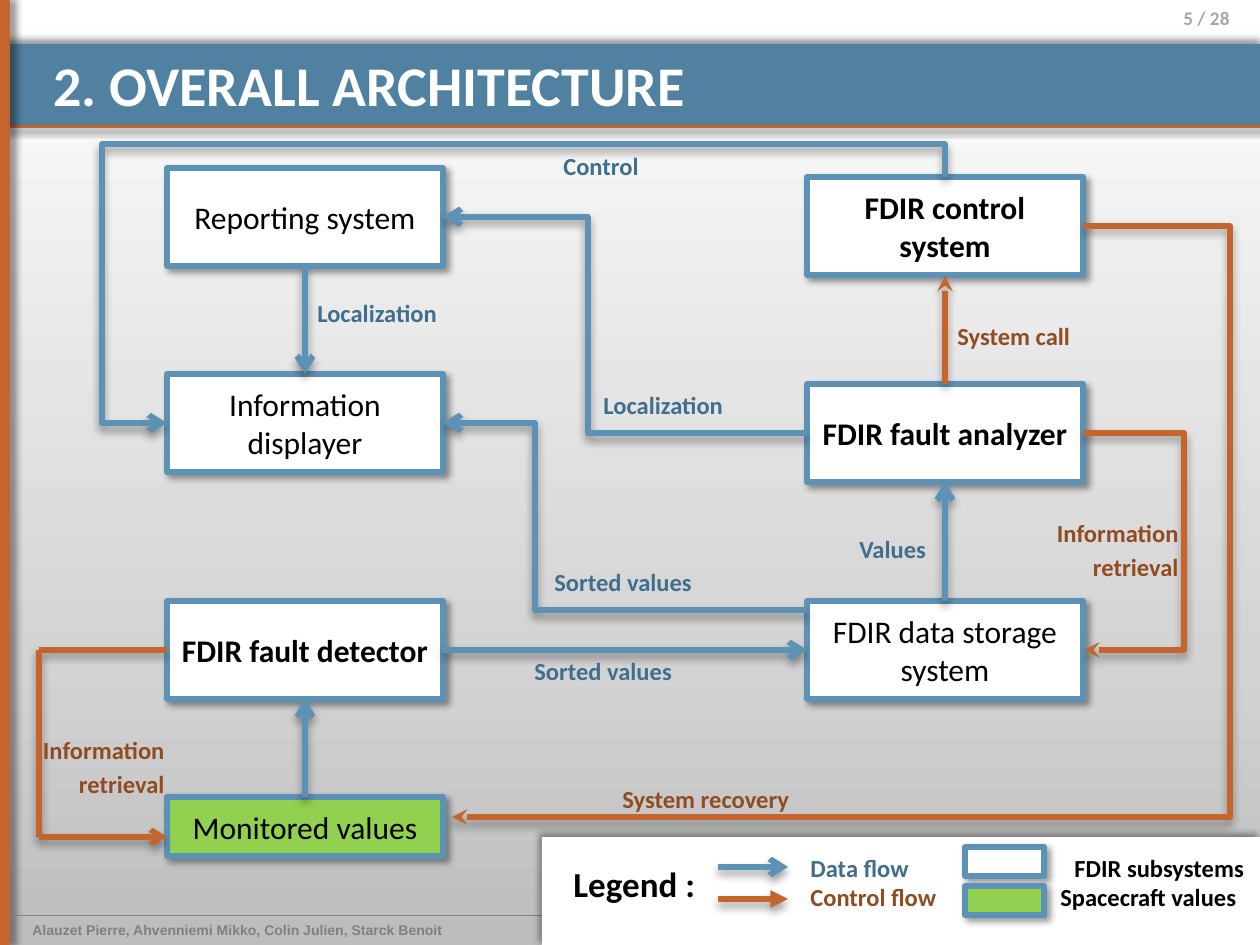
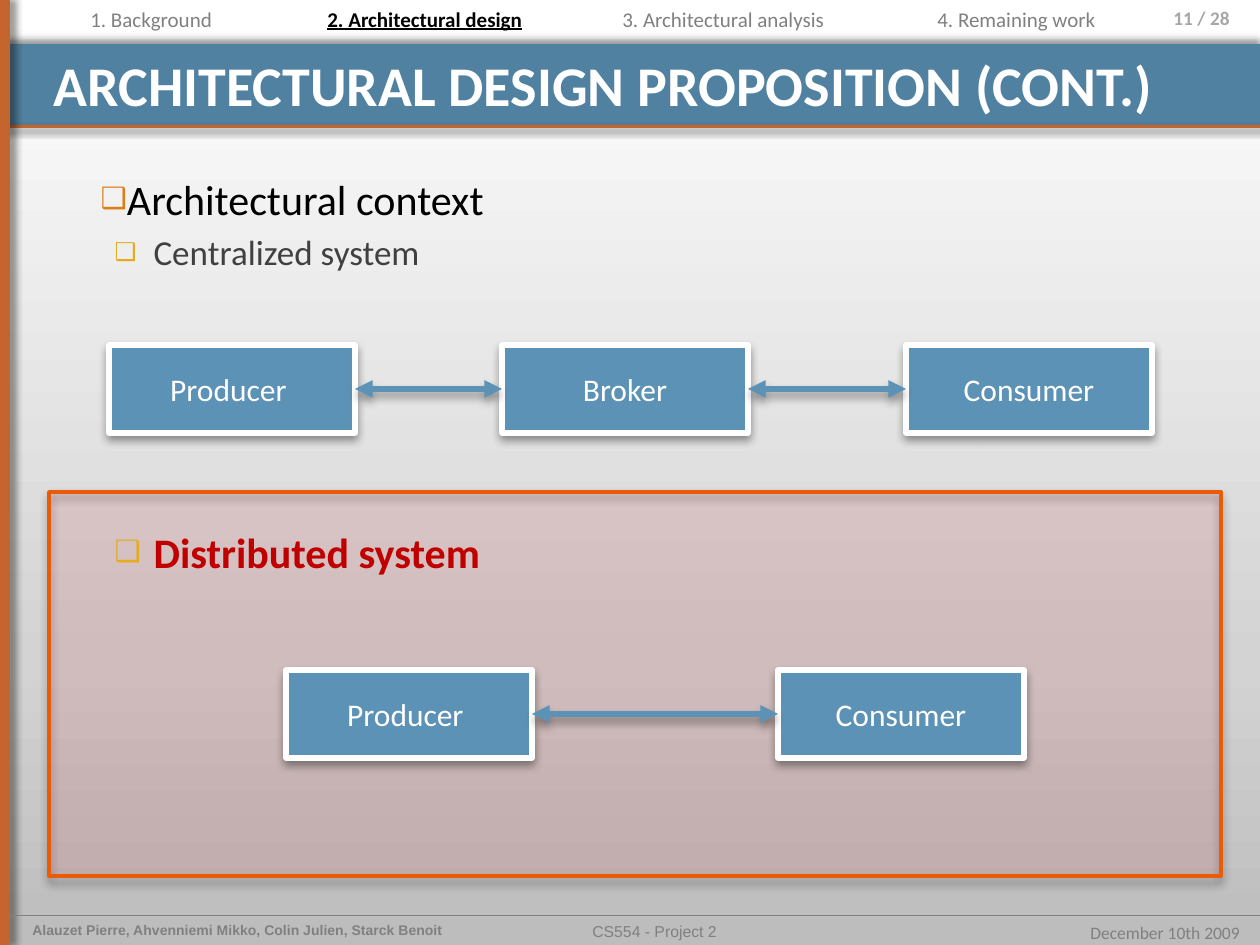
from dataclasses import dataclass
from itertools import pairwise
from typing import NamedTuple
from pptx import Presentation
from pptx.dml.color import RGBColor
from pptx.enum.shapes import MSO_CONNECTOR, MSO_SHAPE
from pptx.enum.text import MSO_ANCHOR, MSO_AUTO_SIZE, PP_ALIGN
from pptx.oxml.ns import qn
from pptx.oxml.xmlchemy import OxmlElement
from pptx.util import Emu, Pt

EMU_PER_PX = 914400 / 126

@dataclass(frozen=True)
class Theme:
    band: str = "5181A0"
    data: str = "5C92B5"
    control: str = "C4652D"
    data_text: str = "406F8D"
    control_text: str = "914B21"
    white: str = "FFFFFF"
    black: str = "000000"
    spacecraft: str = "92D050"
    highlight: str = "FF0000"
    highlight_edge: str = "EA5B07"
    strong: str = "C00000"
    page: str = "A6A6A6"
    muted: str = "808080"
    detail: str = "404040"
    bullets: tuple[str, ...] = ("DA7E18", "E5AB1B")
    backdrop: tuple = ((0, "BDBDBD"), (30, "D3D3D3"), (100, "FFFFFF"))
    font: str = "Calibri"
    footer_font: str = "Arial"
    title_size: int = 32
    topic_size: int = 24
    subtopic_size: int = 20
    box_size: int = 18
    label_size: int = 14
    nav_size: int = 12
    page_size: int = 11
    footer_sizes: tuple[int, ...] = (8, 9, 10)

THEME = Theme()

class Area(NamedTuple):
    left: int
    top: int
    width: int
    height: int

class Shadow(NamedTuple):
    blur: float
    angle: int

BOX_SHADOW = Shadow(4, 45)
SOFT_SHADOW = Shadow(5.2, 90)

@dataclass(frozen=True)
class Block:
    area: Area
    text: str = ""
    fill: str = THEME.white
    edge: str | None = THEME.data
    edge_width: float = 3.35
    bold: bool = False
    ink: str = THEME.black
    shadow: Shadow = BOX_SHADOW
    opacity: int = 100

@dataclass(frozen=True)
class Label:
    area: Area
    text: str
    color: str = THEME.data_text
    size: int = THEME.label_size
    bold: bool = True
    underline: bool = False
    align: PP_ALIGN = PP_ALIGN.LEFT
    font: str = THEME.font

@dataclass(frozen=True)
class Flow:
    points: tuple[tuple[int, int], ...]
    color: str = THEME.data
    width: float = 3.35
    head: str | None = None
    tail: str | None = "arrow"
    shadow: Shadow = SOFT_SHADOW

class Topic(NamedTuple):
    text: str
    level: int
    size: int
    color: str
    before: int
    left: int
    indent: int

def px(length: float) -> Emu:
    return Emu(round(length * EMU_PER_PX))

def rgb(color: str) -> RGBColor:
    return RGBColor.from_string(color)

def apply(target, values: dict) -> None:
    for name, value in values.items():
        setattr(target, name, value)

def sub(parent, tag: str, **attributes):
    child = OxmlElement(tag)
    for name, value in attributes.items():
        child.set(name, str(value))
    parent.append(child)
    return child

def add_shadow(shape, shadow: Shadow) -> None:
    outer = sub(sub(shape._element.spPr, "a:effectLst"), "a:outerShdw", blurRad=Pt(shadow.blur),
                dist=Pt(3), dir=shadow.angle * 60000, algn="ctr", rotWithShape=0)
    sub(sub(outer, "a:srgbClr", val=THEME.black), "a:alpha", val=40000)

def style_font(font, color: str, size: int, bold=False, underline=False, name=THEME.font) -> None:
    apply(font, {"name": name, "size": Pt(size), "bold": bold, "underline": underline})
    font.color.rgb = rgb(color)

def place(shape, area: Area) -> None:
    apply(shape, {side: px(value) for side, value in area._asdict().items()})

def draw_block(slide, block: Block):
    shape = slide.shapes.add_shape(MSO_SHAPE.RECTANGLE, *map(px, block.area))
    shape.fill.solid()
    shape.fill.fore_color.rgb = rgb(block.fill)
    if block.opacity < 100:
        sub(shape._element.spPr.find(qn("a:solidFill"))[0], "a:alpha", val=block.opacity * 1000)
    if block.edge:
        shape.line.color.rgb = rgb(block.edge)
        shape.line.width = Pt(block.edge_width)
    else:
        shape.line.fill.background()
    add_shadow(shape, block.shadow)
    if block.text:
        apply(shape.text_frame, {"text": block.text, "word_wrap": True,
                                 "vertical_anchor": MSO_ANCHOR.MIDDLE})
        paragraph = shape.text_frame.paragraphs[0]
        paragraph.alignment = PP_ALIGN.CENTER
        style_font(paragraph.font, block.ink, THEME.box_size, block.bold)
    return shape

def draw_label(slide, label: Label) -> None:
    frame = slide.shapes.add_textbox(*map(px, label.area)).text_frame
    apply(frame, {"text": label.text, "word_wrap": True})
    for index, paragraph in enumerate(frame.paragraphs):
        paragraph.alignment = label.align
        if index:
            paragraph.space_before = Pt(label.size * 0.2)
        style_font(paragraph.font, label.color, label.size, label.bold, label.underline, label.font)

def finish_flow(connector, flow: Flow, tail: str | None) -> None:
    connector.line.color.rgb = rgb(flow.color)
    connector.line.width = Pt(flow.width)
    outline = connector.line._get_or_add_ln()
    for tag, kind in (("a:headEnd", flow.head), ("a:tailEnd", tail)):
        if kind:
            sub(outline, tag, type=kind)
    add_shadow(connector, flow.shadow)

def draw_flow(slide, flow: Flow) -> None:
    for start, end in pairwise(flow.points):
        leg = slide.shapes.add_connector(MSO_CONNECTOR.STRAIGHT, *map(px, start + end))
        finish_flow(leg, flow, flow.tail if end == flow.points[-1] else None)

def draw_bend(slide, flow: Flow, source=None, target=None) -> None:
    (x1, y1), via, *_, (x2, y2) = flow.points
    bend = slide.shapes.add_connector(MSO_CONNECTOR.ELBOW, *map(px, (x1, y1, x2, y2)))
    if source:
        bend.begin_connect(*source)
    if target:
        bend.end_connect(*target)
    width, height = abs(x2 - x1), abs(y2 - y1)
    geometry = bend._element.spPr.find(qn("a:prstGeom"))
    ratios = [(via[0] - x1) / (x2 - x1)]
    if len(flow.points) == 5:
        ratios = [(via[1] - y1) / (y2 - y1), (flow.points[2][0] - x1) / (x2 - x1)]
        width, height = height, width
        geometry.set("prst", "bentConnector4")
        for name, value in {"rot": 270 * 60000, "flipH": 1, "flipV": 1}.items():
            bend._element.spPr.find(qn("a:xfrm")).set(name, str(value))
    place(bend, Area((x1 + x2 - width) / 2, (y1 + y2 - height) / 2, width, height))
    for index, ratio in enumerate(ratios, 1):
        sub(geometry.find(qn("a:avLst")), "a:gd", name=f"adj{index}", fmla=f"val {round(ratio * 100000)}")
    finish_flow(bend, flow, flow.tail)

def set_backdrop(master) -> None:
    master.background.fill.gradient()
    gradient = master._element.find(".//" + qn("a:gradFill"))
    for child in list(gradient):
        gradient.remove(child)
    stops = sub(gradient, "a:gsLst")
    for position, color in THEME.backdrop:
        sub(sub(stops, "a:gs", pos=position * 1000), "a:srgbClr", val=color)
    sub(gradient, "a:lin", ang=270 * 60000, scaled=0)

def start_slide(deck, layout: int, title: str, page: int):
    slide = deck.slides.add_slide(deck.slide_layouts[layout])
    for area, color, angle in ((Area(0, 44, 1260, 84), THEME.band, 270),
                               (Area(0, 125, 1260, 3), THEME.control, 45),
                               (Area(0, 0, 10, 945), THEME.control, 0)):
        draw_block(slide, Block(area, fill=color, edge=None, shadow=Shadow(4, angle)))
    draw_label(slide, Label(Area(20, 915, 462, 29),
                            "Alauzet Pierre, Ahvenniemi Mikko, Colin Julien, Starck Benoit",
                            THEME.muted, THEME.footer_sizes[0], font=THEME.footer_font))
    draw_label(slide, Label(Area(1112, 0, 130, 49), f"{page} / 28", THEME.page, THEME.page_size,
                            align=PP_ALIGN.RIGHT))
    draw_flow(slide, Flow(((10, 915), (1260, 915)), THEME.muted, 0.25, tail=None, shadow=BOX_SHADOW))
    heading = slide.shapes.title
    place(heading, Area(41, 44, 1169, 73))
    apply(heading.text_frame, {"text": title, "word_wrap": True, "auto_size": MSO_AUTO_SIZE.NONE,
                               "vertical_anchor": MSO_ANCHOR.TOP})
    paragraph = heading.text_frame.paragraphs[0]
    paragraph.alignment = PP_ALIGN.LEFT
    style_font(paragraph.font, THEME.white, THEME.title_size, True)
    slide.shapes._spTree.append(heading._element)
    return slide

def build_architecture(deck) -> None:
    slide = start_slide(deck, 5, "2. OVERALL ARCHITECTURE", 5)
    reporting, displayer, detector, control, analyzer, storage = (
        draw_block(slide, Block(Area(left, top, 276, 98), text, bold=bold))
        for left, top, text, bold in (
            (167, 168, "Reporting system", False), (167, 374, "Information displayer", False),
            (167, 601, "FDIR fault detector", True), (807, 177, "FDIR control system", True),
            (807, 384, "FDIR fault analyzer", True), (807, 601, "FDIR data storage system", False)))
    draw_block(slide, Block(Area(167, 797, 276, 59), "Monitored values", THEME.spacecraft))
    for points in (((443, 650), (807, 650)), ((945, 601), (945, 482)),
                   ((305, 797), (305, 699)), ((305, 266), (305, 374))):
        draw_flow(slide, Flow(points))
    for points, source, target in (
        (((807, 610), (535, 610), (535, 423), (443, 423)), None, (displayer, 3)),
        (((945, 177), (945, 144), (102, 144), (102, 423), (167, 423)), (control, 0), (displayer, 1)),
        (((807, 433), (588, 433), (588, 217), (443, 217)), (analyzer, 1), (reporting, 3)),
    ):
        draw_bend(slide, Flow(points), source, target)
    for points, source, target in (
        (((1083, 433), (1185, 433), (1185, 650), (1084, 650)), (analyzer, 3), (storage, 3)),
        (((1083, 226), (1230, 226), (1230, 817), (452, 817)), (control, 3), None),
    ):
        draw_bend(slide, Flow(points, THEME.control, 3, tail="stealth"), source, target)
    draw_flow(slide, Flow(((945, 384), (945, 276)), THEME.control, 3, tail="stealth"))
    draw_flow(slide, Flow(((167, 650), (39, 650), (39, 837), (167, 837)), THEME.control, 3))

    draw_block(slide, Block(Area(542, 837, 718, 108), edge=None, shadow=Shadow(4, 225)))
    draw_flow(slide, Flow(((718, 867), (788, 867))))
    draw_flow(slide, Flow(((718, 899), (788, 899)), THEME.control, tail="triangle"))
    for top, fill in ((847, THEME.white), (886, THEME.spacecraft)):
        draw_block(slide, Block(Area(965, top, 79, 29), fill=fill))
    for left, top, text in (
        (591, 384, "Localization"), (305, 292, "Localization"), (522, 650, "Sorted values"),
        (542, 561, "Sorted values"), (847, 528, "Values"), (551, 145, "Control"), (798, 847, "Data flow"),
    ):
        draw_label(slide, Label(Area(left, top, 266, 43), text))
    for left, top, text, align in (
        (945, 315, "System call", PP_ALIGN.LEFT), (610, 778, "System recovery", PP_ALIGN.LEFT),
        (798, 876, "Control flow", PP_ALIGN.LEFT), (925, 512, "Information\nretrieval", PP_ALIGN.RIGHT),
        (-89, 729, "Information\nretrieval", PP_ALIGN.RIGHT),
    ):
        height = 78 if "\n" in text else 43
        draw_label(slide, Label(Area(left, top, 266, height), text, THEME.control_text, align=align))
    for area, text, size in (
        (Area(561, 856, 155, 55), "Legend :", THEME.subtopic_size),
        (Area(1062, 847, 198, 43), "FDIR subsystems", THEME.label_size),
        (Area(1048, 876, 204, 43), "Spacecraft values", THEME.label_size),
    ):
        draw_label(slide, Label(area, text, THEME.black, size))

def write_topics(slide, topics: tuple[Topic, ...]) -> None:
    body = slide.placeholders[1]
    place(body, Area(39, 167, 1221, 738))
    apply(body.text_frame, {"text": "\n".join(topic.text for topic in topics),
                            "auto_size": MSO_AUTO_SIZE.NONE, "vertical_anchor": MSO_ANCHOR.TOP})
    for paragraph, topic in zip(body.text_frame.paragraphs, topics):
        properties = paragraph._p.get_or_add_pPr()
        for name, value in {"marL": topic.left, "indent": topic.indent}.items():
            properties.set(name, str(px(value)))
        sub(sub(properties, "a:buClr"), "a:srgbClr", val=THEME.bullets[topic.level])
        sub(properties, "a:buSzPct", val=70000)
        sub(properties, "a:buChar", char="❑")
        apply(paragraph, {"level": topic.level, "space_before": Pt(topic.before),
                          "alignment": PP_ALIGN.LEFT})
        style_font(paragraph.font, topic.color, topic.size, topic.color == THEME.strong)
    slide.shapes._spTree.append(body._element)

def build_proposition(deck) -> None:
    slide = start_slide(deck, 1, "ARCHITECTURAL DESIGN PROPOSITION (CONT.)", 11)
    draw_label(slide, Label(Area(266, 916, 777, 29), "CS554 - Project 2", THEME.muted,
                            THEME.footer_sizes[1], False, align=PP_ALIGN.CENTER, font=THEME.footer_font))
    draw_label(slide, Label(Area(1052, 916, 200, 29), "December 10th 2009", THEME.muted,
                            THEME.footer_sizes[2], False, align=PP_ALIGN.RIGHT))
    draw_block(slide, Block(Area(49, 492, 1172, 384), fill=THEME.highlight, edge=THEME.highlight_edge,
                            edge_width=2, shadow=SOFT_SHADOW, opacity=8))
    write_topics(slide, (
        Topic("Architectural context", 0, THEME.topic_size, THEME.black, 0, 0, 49),
        Topic("Centralized system", 1, THEME.subtopic_size, THEME.detail, 4, 102, -39),
        Topic("Distributed system", 1, THEME.topic_size, THEME.strong, 145, 102, -39)))
    width, height = 246, 88
    for top, members in ((345, ((109, "Producer "), (502, "Broker"), (906, "Consumer"))),
                         (670, ((286, "Producer "), (778, "Consumer")))):
        for left, text in members:
            draw_block(slide, Block(Area(left, top, width, height), text, THEME.data, THEME.white, 3,
                                    ink=THEME.white, shadow=SOFT_SHADOW))
        middle = top + height // 2
        for (left, _), (right, _) in pairwise(members):
            draw_flow(slide, Flow(((left + width, middle), (right, middle)), head="triangle", tail="triangle"))
    for left, text, current in ((78, "1. Background", False), (315, "2. Architectural design", True),
                                (610, "3. Architectural analysis", False), (925, "4. Remaining work", False)):
        draw_label(slide, Label(Area(left, 0, 240, 38), text, THEME.black if current else THEME.muted,
                                THEME.nav_size, current, current))

def main() -> None:
    deck = Presentation()
    apply(deck, {"slide_width": px(1260), "slide_height": px(945)})
    set_backdrop(deck.slide_master)
    build_architecture(deck)
    build_proposition(deck)
    deck.save("out.pptx")

if __name__ == "__main__":
    main()
